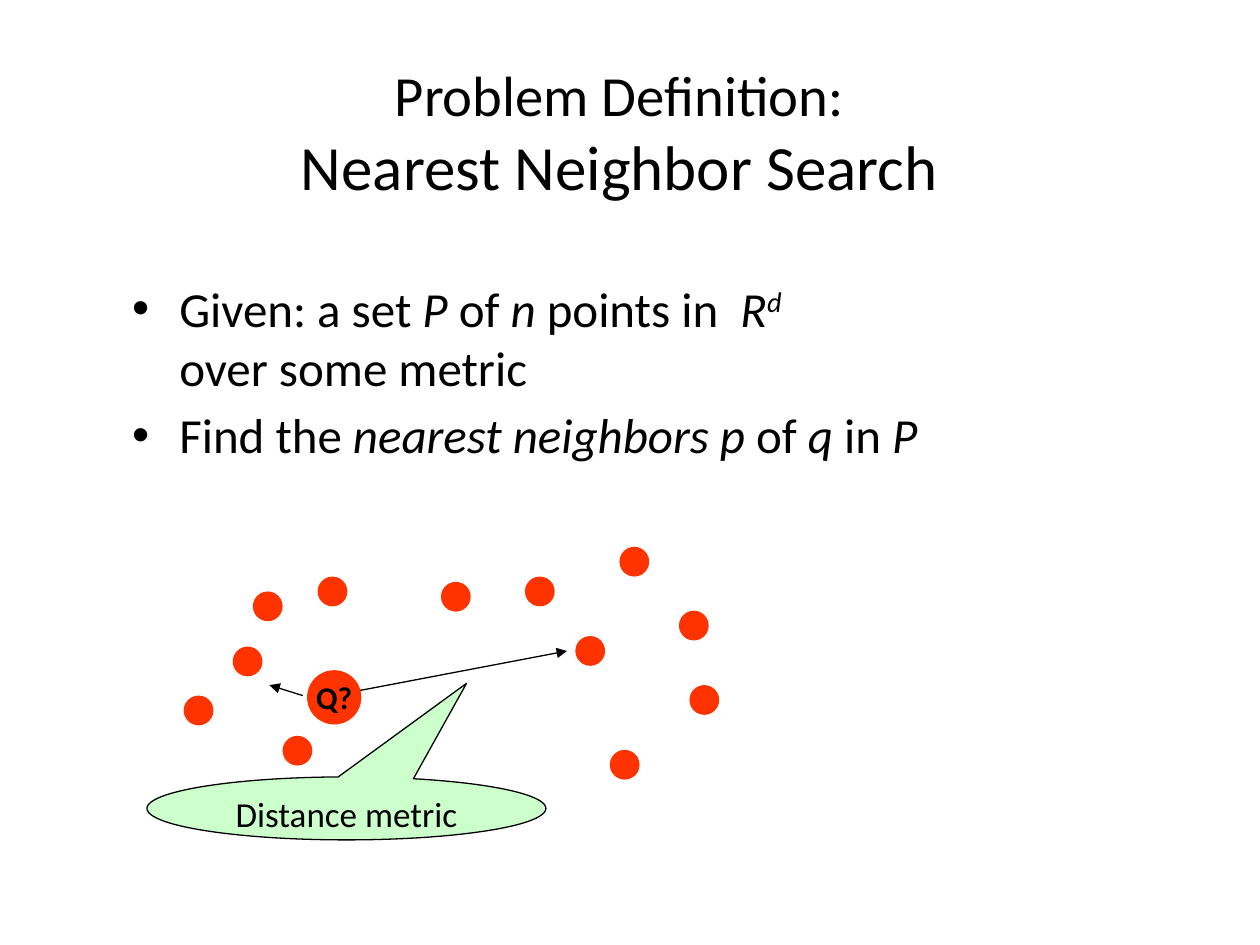
import pptx
import pptx.util
import pptx.dml.color
import pptx.enum.shapes
import pptx.enum.text
import pptx.oxml.ns
from dataclasses import dataclass
from lxml import etree

Pt = pptx.util.Pt
RGB = pptx.dml.color.RGBColor.from_string
SHAPE = pptx.enum.shapes.MSO_SHAPE
ANCHOR = pptx.enum.text.MSO_ANCHOR
CENTER = pptx.enum.text.PP_ALIGN.CENTER
qn = pptx.oxml.ns.qn


@dataclass
class Theme:
    font: str = "Calibri"
    ink: str = "000000"
    point: str = "FF3300"
    callout: str = "CCFFCC"
    title_top: float = 32.4
    title: float = 36
    body: float = 28
    label: float = 20
    query: float = 18
    line: float = 0.75


theme = Theme()


def add_run(p, text, size, italic=False, bold=False):
    r = p.add_run()
    r.text = text
    r.font.name = theme.font
    r.font.size = Pt(size)
    r.font.italic = italic
    r.font.bold = bold
    r.font.color.rgb = RGB(theme.ink)
    return r


def add_filled(kind, x, y, w, h, color):
    sp = s.shapes.add_shape(kind, Pt(x), Pt(y), Pt(w), Pt(h))
    sp.shadow.inherit = False
    sp.fill.solid()
    sp.fill.fore_color.rgb = RGB(color)
    sp.line.fill.background()
    return sp


prs = pptx.Presentation()
prs.slide_width, prs.slide_height = Pt(720), Pt(540)
s = prs.slides.add_slide(prs.slide_layouts[6])

# Bullets: (text, italic, superscript), "\n" breaks the line
bullets = [
    [("Given: a set ", False, False), ("P", True, False), (" of ", False, False),
     ("n ", True, False), ("points in  ", False, False), ("R", True, False),
     ("d", True, True), ("\n", False, False), ("over some metric", False, False)],
    [("Find the ", False, False), ("nearest neighbors p", True, False),
     (" of ", False, False), ("q", True, False), (" in ", False, False),
     ("P", True, False)],
]
tf = s.shapes.add_textbox(Pt(68.4), Pt(155.5), Pt(606), Pt(138)).text_frame
tf.word_wrap = True
for i, runs in enumerate(bullets):
    p = tf.add_paragraph() if i else tf.paragraphs[0]
    p.space_before = Pt(5)
    pPr = p._p.get_or_add_pPr()
    pPr.set("marL", str(Pt(27)))
    pPr.set("indent", str(-Pt(27)))
    etree.SubElement(pPr, qn("a:buFont"), typeface="Arial")
    etree.SubElement(pPr, qn("a:buChar"), char="•")
    for text, italic, superscript in runs:
        if text == "\n":
            p.add_line_break()
            continue
        r = add_run(p, text, theme.body, italic)
        if superscript:
            r._r.get_or_add_rPr().set("baseline", "30000")

# Title
tf = s.shapes.add_textbox(Pt(48), Pt(30), Pt(612), Pt(90)).text_frame
tf.word_wrap = True
tf.vertical_anchor = ANCHOR.MIDDLE
p = tf.paragraphs[0]
p.alignment = CENTER
add_run(p, "Problem Definition:", theme.title_top)
p.add_line_break()
add_run(p, "Nearest Neighbor Search", theme.title)

# Callout
sp = add_filled(SHAPE.OVAL_CALLOUT, 84, 444, 228, 36, theme.callout)
sp.adjustments[0], sp.adjustments[1] = 0.301, -1.986
sp.line.color.rgb = RGB(theme.ink)
sp.line.width = Pt(theme.line)
tf = sp.text_frame
tf.vertical_anchor = ANCHOR.TOP
p = tf.paragraphs[0]
p.alignment = CENTER
add_run(p, "Distance metric", theme.label)

# Distance arrows from the query
for x1, y1, x2, y2 in [(198, 396, 324, 372), (173, 397.5, 154, 391.5)]:
    cx = s.shapes.add_connector(pptx.enum.shapes.MSO_CONNECTOR.STRAIGHT,
                                Pt(x1), Pt(y1), Pt(x2), Pt(y2))
    cx.line.color.rgb = RGB(theme.ink)
    cx.line.width = Pt(theme.line)
    etree.SubElement(cx.line._get_or_add_ln(), qn("a:tailEnd"), type="triangle")
    etree.SubElement(cx._element.spPr, qn("a:effectLst"))

# Data points
points = [(348.5, 428.5), (394, 391.5), (388, 349), (354, 312.5),
          (300, 329.5), (252, 332.5), (328.8, 363.5), (181.5, 329.5),
          (144.5, 338), (133, 369.5), (105, 397.5), (161.5, 420.5)]
for x, y in points:
    add_filled(SHAPE.OVAL, x, y, 17, 17, theme.point)

# Query point
sp = add_filled(SHAPE.OVAL, 175.5, 383, 31, 31, theme.point)
tf = sp.text_frame
tf.word_wrap = False
tf.vertical_anchor = ANCHOR.MIDDLE
p = tf.paragraphs[0]
p.alignment = CENTER
add_run(p, "Q?", theme.query, bold=True)

prs.save("out.pptx")
